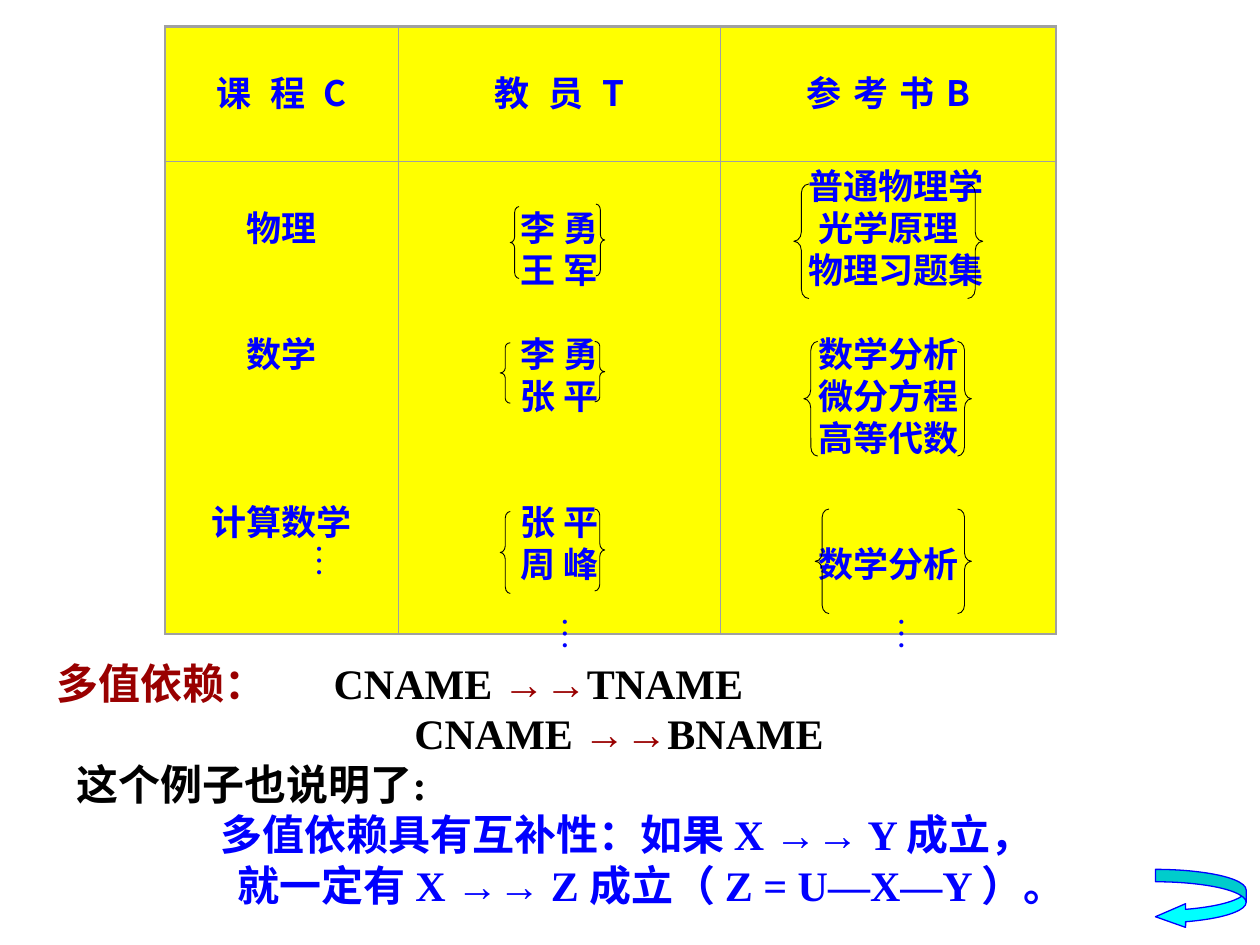
from lxml.etree import SubElement
from pptx import Presentation
from pptx.dml.color import RGBColor
from pptx.enum.shapes import MSO_SHAPE
from pptx.enum.text import MSO_ANCHOR, PP_ALIGN
from pptx.oxml import parse_xml
from pptx.oxml.ns import nsdecls, qn
from pptx.util import Inches, Pt

SANS, SERIF = "Noto Sans CJK SC", "Times New Roman"
BLUE, RED, BLACK, GRAY = "0000FF", "990000", "000000", "A0A0A0"
LINE = 1.2  # line pitch relative to text size

# Heading, letter spacing, blank lines on top, groups of (blank lines before, names)
COLUMNS = [
    (1.85, "课 程 C", 300, 1, [(0, ["物理"]), (2, ["数学"]), (3, ["计算数学"])]),
    (2.56, "教 员 T", 300, 1, [(0, ["李 勇", "王 军"]), (1, ["李 勇", "张 平"]),
                               (2, ["张 平", "周 峰"])]),
    (2.66, "参 考 书 B", 100, 0, [(0, ["普通物理学", "光学原理", "物理习题集"]),
                                  (1, ["数学分析", "微分方程", "高等代数"]),
                                  (2, ["数学分析"])]),
]
ROWS = [1.07, 3.75]

# Brace pairs relative to the table: left x, left y, right x, right y, width, height
BRACES = [
    (2.74, 1.43, 3.42, 1.41, 0.07, 0.57),
    (2.66, 2.51, 3.41, 2.50, 0.08, 0.48),
    (2.66, 3.85, 3.41, 3.83, 0.08, 0.65),
    (4.99, 1.25, 6.37, 1.25, 0.12, 0.91),
    (5.07, 2.50, 6.29, 2.50, 0.11, 0.91),
    (5.16, 3.83, 6.29, 3.83, 0.11, 0.83),
]
DOTS = [(0.74, 4.00, 0.80, 0.61), (2.91, 4.58, 0.58, 0.50), (5.49, 4.58, 0.67, 0.42)]

# Indent and coloured runs of each line below the table
NOTES = [
    (0, [("多值依赖：\t", RED), ("CNAME ", BLACK), ("→→", RED), ("TNAME", BLACK)]),
    (2.84, [("CNAME ", BLACK), ("→→", RED), ("BNAME", BLACK)]),
    (0.16, [("这个例子也说明了:", BLACK)]),
    (1.3, [("多值依赖具有互补性：如果 X →→ Y 成立，", BLUE)]),
    (1.44, [("就一定有 X →→ Z 成立（ Z = U―X―Y ）。", BLUE)]),
]


def rgb(code):
    return RGBColor.from_string(code)


def style(para, size, face, color=BLUE, bold=True):
    font = para.font
    font.size, font.name, font.bold = Pt(size), face, bold
    font.color.rgb = rgb(color)
    SubElement(para._p.pPr.find(qn("a:defRPr")), qn("a:ea"), typeface=SANS)
    para.line_spacing = Pt(size * LINE)


def indent(para, inches):
    para._p.get_or_add_pPr().set("marL", str(Inches(inches)))


def border(cell, sides):
    props = cell._tc.get_or_add_tcPr()
    for spot, (side, width) in enumerate(sides):
        props.insert(spot, parse_xml(
            f'<a:ln{side} {nsdecls("a")} w="{Pt(width)}"><a:solidFill>'
            f'<a:srgbClr val="{GRAY}"/></a:solidFill></a:ln{side}>'))


def fill_cell(cell, groups, blank):
    """Write groups of lines, starting after some blank line heights."""
    pitch = 20 * LINE
    cell.vertical_anchor = MSO_ANCHOR.TOP
    cell.margin_top = Inches(0.05) + Pt(pitch * blank)
    cell.margin_bottom = 0
    frame = cell.text_frame
    para = None
    for gap, names in groups:
        for spot, name in enumerate(names):
            para = frame.add_paragraph() if para else frame.paragraphs[0]
            para.text = name
            para.alignment = PP_ALIGN.CENTER
            if gap and spot == 0:
                para.space_before = Pt(pitch * gap)
            if len(name) == 5 and " " not in name:
                indent(para, 0.13)
            style(para, 20, SANS)


def add_grid(slide, x, y):
    width = sum(col[0] for col in COLUMNS)
    table = slide.shapes.add_table(2, 3, Inches(x), Inches(y),
                                   Inches(width), Inches(sum(ROWS))).table
    for row, height in zip(table.rows, ROWS):
        row.height = Inches(height)
    for c, (wide, head, space, blank, groups) in enumerate(COLUMNS):
        table.columns[c].width = Inches(wide)
        fill_cell(table.cell(0, c), [(0, [head])], 1)
        run = table.cell(0, c).text_frame.paragraphs[0].runs[0]
        run._r.get_or_add_rPr().set("spc", str(space))
        fill_cell(table.cell(1, c), groups, blank)
        for r in range(2):
            cell = table.cell(r, c)
            cell.fill.solid()
            cell.fill.fore_color.rgb = rgb("FFFF00")
            outer = [("L", c == 0), ("R", c == 2), ("T", r == 0), ("B", r == 1)]
            border(cell, [(side, 1.5 if edge else 0.5) for side, edge in outer])


def add_brace(slide, kind, x, y, w, h):
    brace = slide.shapes.add_shape(kind, Inches(x), Inches(y), Inches(w), Inches(h))
    brace.shadow.inherit = False
    brace.adjustments[0] = 0.08 * h / w
    brace.fill.background()
    brace.line.color.rgb = rgb(BLACK)
    brace.line.width = Pt(0.5)


def add_marks(slide, x, y):
    # Braces around the groups of names
    for lx, ly, rx, ry, w, h in BRACES:
        add_brace(slide, MSO_SHAPE.LEFT_BRACE, x + lx, y + ly, w, h)
        add_brace(slide, MSO_SHAPE.RIGHT_BRACE, x + rx, y + ry, w, h)
    # Upright dots under each column
    for dx, dy, w, h in DOTS:
        box = slide.shapes.add_textbox(Inches(x + dx), Inches(y + dy), Inches(w), Inches(h))
        frame = box.text_frame
        frame.word_wrap = True
        frame.margin_left = frame.margin_right = Inches(0.05)
        frame.margin_top = frame.margin_bottom = Inches(0.1)
        frame._txBody.bodyPr.set("vert", "eaVert")
        frame.text = "…"
        style(frame.paragraphs[0], 20, SERIF, bold=False)


def add_notes(slide, x, y, w, h):
    frame = slide.shapes.add_textbox(Inches(x), Inches(y), Inches(w), Inches(h)).text_frame
    frame.word_wrap = True
    for spot, (left, runs) in enumerate(NOTES):
        para = frame.add_paragraph() if spot else frame.paragraphs[0]
        para.alignment = PP_ALIGN.JUSTIFY
        indent(para, left)
        if spot == 0:
            tabs = SubElement(para._p.get_or_add_pPr(), qn("a:tabLst"))
            SubElement(tabs, qn("a:tab"), pos=str(Inches(2.2)), algn="l")
        style(para, 24, SERIF, runs[0][1])
        for text, color in runs:
            run = para.add_run()
            run.text = text
            if color != runs[0][1]:
                run.font.color.rgb = rgb(color)


def add_return(slide, x, y, w, h):
    arrow = slide.shapes.add_shape(MSO_SHAPE.CURVED_LEFT_ARROW, Inches(x), Inches(y),
                                   Inches(w), Inches(h))
    arrow.shadow.inherit = False
    for spot, value in enumerate([0.21, 0.4, 0.51]):
        arrow.adjustments[spot] = value
    arrow.fill.solid()
    arrow.fill.fore_color.rgb = rgb("00FFFF")
    arrow.line.color.rgb = rgb(BLUE)
    arrow.line.width = Pt(0.75)


def main():
    deck = Presentation()
    deck.slide_width, deck.slide_height = Inches(10), Inches(7.5)
    slide = deck.slides.add_slide(deck.slide_layouts[6])
    add_return(slide, 9.17, 6.9, 0.72, 0.47)
    add_grid(slide, 1.31, 0.21)
    add_marks(slide, 1.31, 0.21)
    add_notes(slide, 0.35, 5.17, 9.14, 2.1)
    deck.save("out.pptx")


if __name__ == "__main__":
    main()
